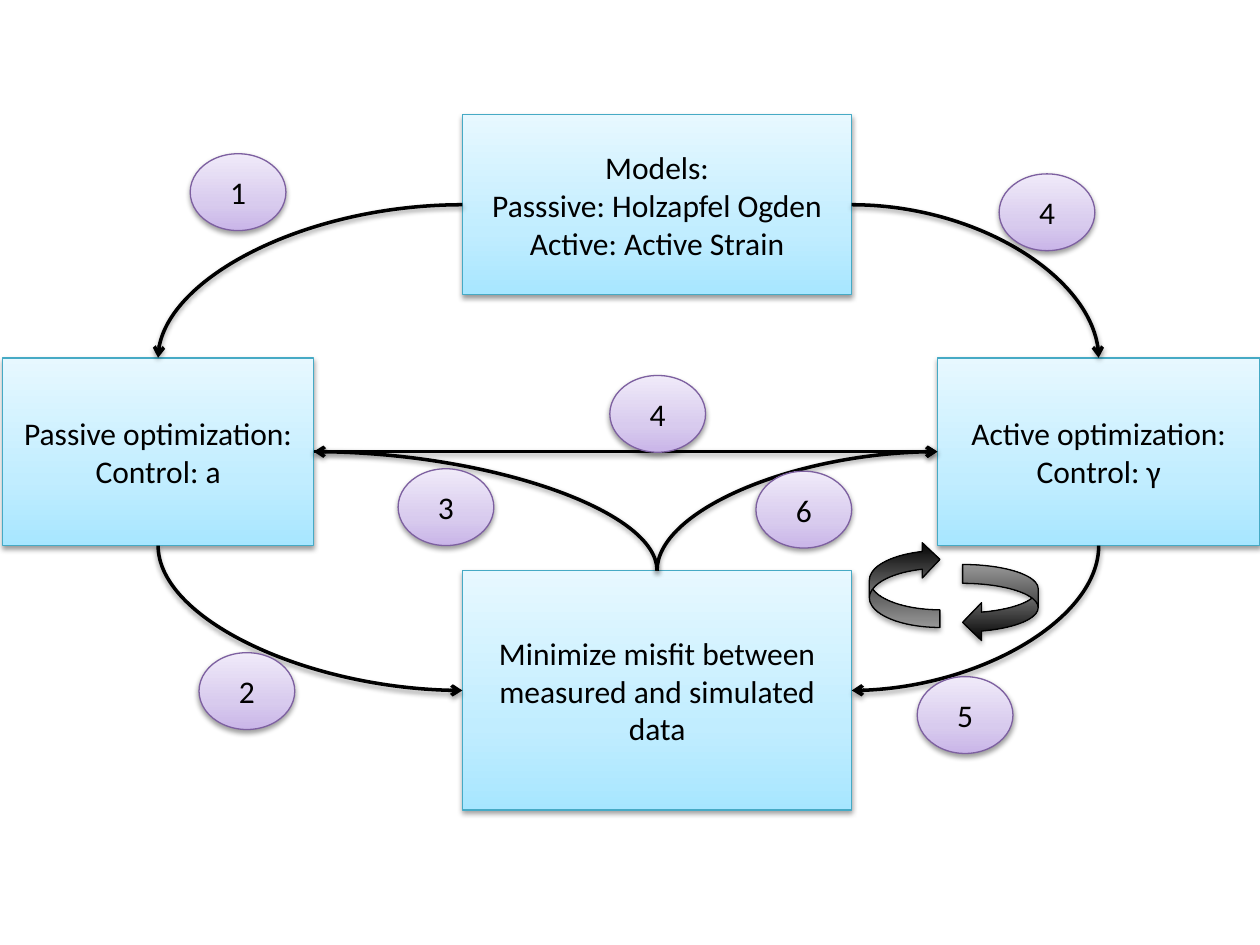
from typing import NamedTuple

from lxml.etree import SubElement
from pptx import Presentation
from pptx.dml.color import RGBColor
from pptx.enum.shapes import MSO_CONNECTOR as Route, MSO_SHAPE as Preset
from pptx.enum.text import MSO_ANCHOR as Anchor, PP_ALIGN as Align
from pptx.oxml.ns import qn
from pptx.util import Inches, Pt

BLACK = "000000"
FONT = "Calibri"
BADGE_SIZE = (0.76, 0.61)


class Look(NamedTuple):
    stops: tuple[tuple[int, str], ...]
    outline: str
    shadow_opacity: int = 38
    shadow_distance: float = 1.6


class Box(NamedTuple):
    left: float
    top: float
    width: float
    height: float
    lines: tuple[str, ...]

    @property
    def center_x(self) -> float:
        return self.left + self.width / 2

    @property
    def center_y(self) -> float:
        return self.top + self.height / 2

    @property
    def right(self) -> float:
        return self.left + self.width

    @property
    def bottom(self) -> float:
        return self.top + self.height


class Badge(NamedTuple):
    left: float
    top: float
    number: str


class Curve(NamedTuple):
    start: tuple[float, float]
    end: tuple[float, float]
    leaves_vertically: bool


BLUE = Look(((0, "A7E6FF"), (35, "C1EDFF"), (100, "E7F8FF")), "46AAC5")
PURPLE = Look(((0, "C9B5E8"), (35, "D8CBEE"), (100, "F0EAF9")), "7D60A0")
DARK = Look(((0, BLACK), (100, "BDBDBD")), BLACK, 35, 1.8)

MODELS = Box(3.67, 0.91, 3.09, 1.43,
             ("Models:", "Passsive: Holzapfel Ogden", "Active: Active Strain"))
PASSIVE = Box(0.02, 2.84, 2.47, 1.49, ("Passive optimization:", "Control: a"))
ACTIVE = Box(7.44, 2.84, 2.56, 1.49, ("Active optimization:", "Control: γ"))
MISFIT = Box(3.67, 4.53, 3.09, 1.9,
             ("Minimize misfit between measured and simulated data",))

CURVES = (
    Curve((ACTIVE.center_x, ACTIVE.bottom), (MISFIT.right, MISFIT.center_y), True),
    Curve((PASSIVE.center_x, PASSIVE.bottom), (MISFIT.left, MISFIT.center_y), True),
    Curve((MODELS.left, MODELS.center_y), (PASSIVE.center_x, PASSIVE.top), False),
    Curve((MODELS.right, MODELS.center_y), (ACTIVE.center_x, ACTIVE.top), False),
    Curve((MISFIT.center_x, MISFIT.top), (ACTIVE.left, ACTIVE.center_y), True),
    Curve((MISFIT.center_x, MISFIT.top), (PASSIVE.right, PASSIVE.center_y), True),
)
BADGES = (
    Badge(1.51, 1.22, "1"), Badge(1.58, 5.18, "2"), Badge(3.16, 3.72, "3"),
    Badge(4.84, 2.98, "4"), Badge(7.93, 1.38, "4"), Badge(7.28, 5.37, "5"),
    Badge(6, 3.74, "6"),
)


def rgb(value: str) -> RGBColor:
    return RGBColor.from_string(value)


def add_color(parent, value: str):
    return SubElement(parent, qn("a:srgbClr"), val=value)


def add_shadow(shape, opacity: int = 38, distance: float = 1.6) -> None:
    effects = SubElement(shape.element.spPr, qn("a:effectLst"))
    shadow = SubElement(effects, qn("a:outerShdw"), blurRad=str(Pt(3.1)),
                        dist=str(Pt(distance)), dir="5400000", rotWithShape="0")
    SubElement(add_color(shadow, BLACK), qn("a:alpha"), val=str(opacity * 1000))


def add_styled(shapes, preset: Preset, area: tuple[float, ...], look: Look):
    shape = shapes.add_shape(preset, *map(Inches, area))
    shape.fill.gradient()
    shape.fill.gradient_angle = 90
    stop_list = shape.element.spPr.find(f".//{qn('a:gsLst')}")
    stop_list.clear()
    for position, color in look.stops:
        add_color(SubElement(stop_list, qn("a:gs"), pos=str(position * 1000)), color)
    shape.line.color.rgb = rgb(look.outline)
    shape.line.width = Pt(0.75)
    add_shadow(shape, look.shadow_opacity, look.shadow_distance)
    return shape


def write_centered(shape, lines: tuple[str, ...]) -> None:
    frame = shape.text_frame
    frame.word_wrap = True
    frame.vertical_anchor = Anchor.MIDDLE
    for index, line in enumerate(lines):
        paragraph = frame.add_paragraph() if index else frame.paragraphs[0]
        paragraph.alignment = Align.CENTER
        run = paragraph.add_run()
        run.text = line
        run.font.name = FONT
        run.font.size = Pt(18)
        run.font.color.rgb = rgb(BLACK)


def add_arrow(shapes, route: Route, start: tuple[float, float],
              end: tuple[float, float]):
    arrow = shapes.add_connector(route, *map(Inches, (*start, *end)))
    arrow.line.color.rgb = rgb(BLACK)
    arrow.line.width = Pt(2)
    SubElement(arrow.element.spPr.find(qn("a:ln")), qn("a:tailEnd"), type="arrow")
    add_shadow(arrow)
    return arrow


def add_curve(shapes, curve: Curve) -> None:
    """Draw a quarter bend; one that leaves vertically is a turned horizontal one."""
    (x1, y1), (x2, y2) = start, end = curve.start, curve.end
    turn = 0
    if curve.leaves_vertically:
        dx, dy = x2 - x1, y2 - y1
        mid_x, mid_y = (x1 + x2) / 2, (y1 + y2) / 2
        start = (mid_x - dy / 2, mid_y + dx / 2)
        end = (mid_x + dy / 2, mid_y - dx / 2)
        turn = 90
        if dx * dy > 0:
            start, end, turn = end, start, 270
    properties = add_arrow(shapes, Route.CURVE, start, end).element.spPr
    properties.find(qn("a:prstGeom")).set("prst", "curvedConnector2")
    if turn:
        properties.find(qn("a:xfrm")).set("rot", str(turn * 60000))


def add_cycle(shapes) -> None:
    cycle = shapes.add_group_shape().shapes
    add_styled(cycle, Preset.CURVED_LEFT_ARROW, (7.64, 4.48, 0.6, 0.61), DARK)
    rising = add_styled(cycle, Preset.CURVED_RIGHT_ARROW, (6.9, 4.3, 0.56, 0.68), DARK)
    rising.element.spPr.find(qn("a:xfrm")).set("flipV", "1")


def main() -> None:
    deck = Presentation()
    deck.slide_width, deck.slide_height = Inches(10), Inches(7.5)
    blank_layout = deck.slide_layouts[6]
    shapes = deck.slides.add_slide(blank_layout).shapes

    for box in (MODELS, PASSIVE, ACTIVE, MISFIT):
        write_centered(add_styled(shapes, Preset.RECTANGLE, box[:4], BLUE), box.lines)
    add_arrow(shapes, Route.STRAIGHT, (PASSIVE.right, PASSIVE.center_y),
              (ACTIVE.left, ACTIVE.center_y))
    for curve in CURVES:
        add_curve(shapes, curve)
    for badge in BADGES:
        oval = add_styled(shapes, Preset.OVAL, (badge.left, badge.top, *BADGE_SIZE), PURPLE)
        write_centered(oval, (badge.number,))
    add_cycle(shapes)
    deck.save("out.pptx")


if __name__ == "__main__":
    main()
